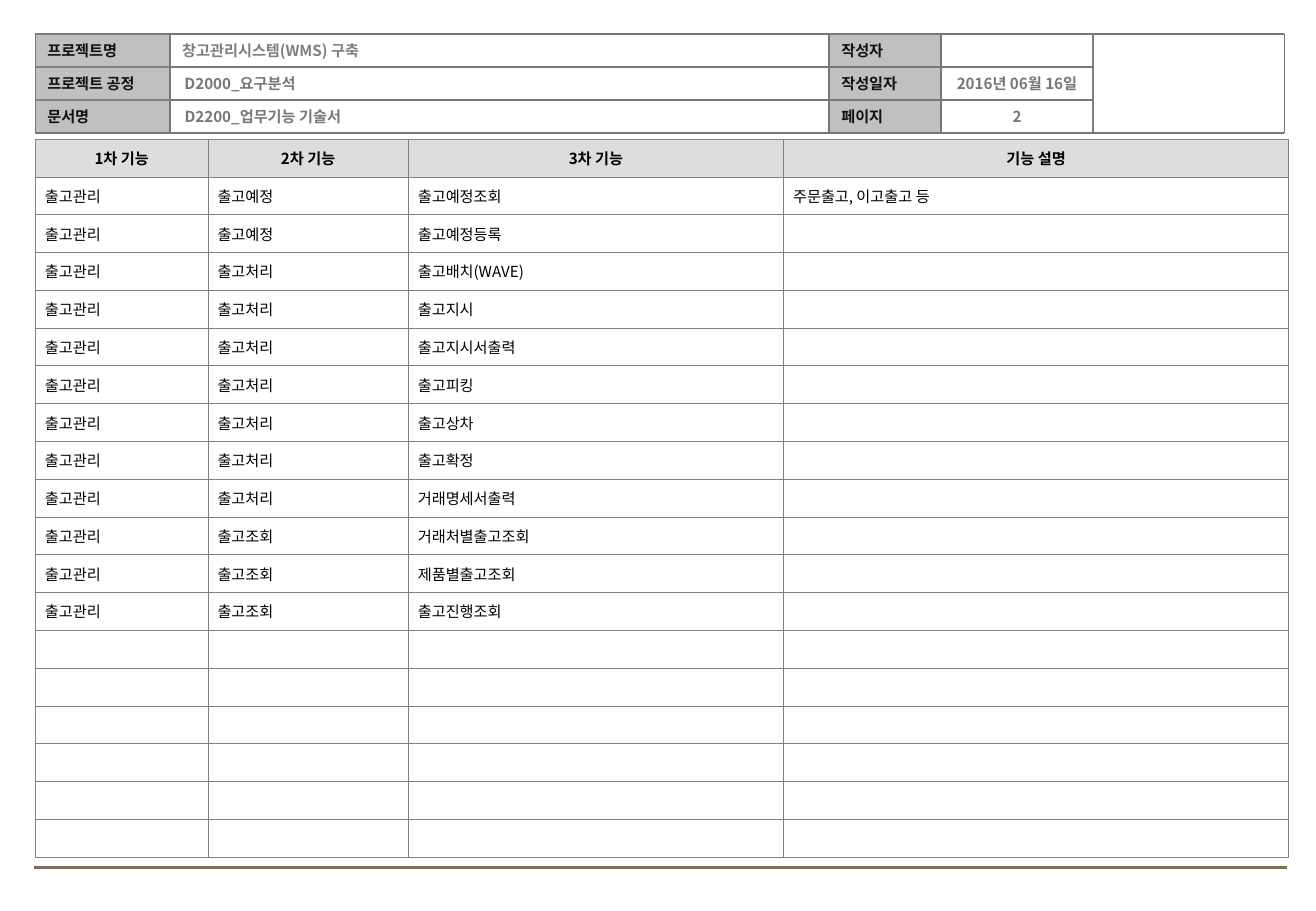
from dataclasses import dataclass
from itertools import accumulate

from lxml.etree import SubElement
from pptx import Presentation
from pptx.dml.color import RGBColor
from pptx.enum.shapes import MSO_CONNECTOR, MSO_SHAPE
from pptx.enum.text import MSO_ANCHOR, MSO_AUTO_SIZE, PP_ALIGN
from pptx.oxml.ns import qn
from pptx.util import Cm, Pt


@dataclass(frozen=True)
class Theme:
    font: str = "Noto Sans CJK KR"
    size: float = 9
    label_fill: str = "C0C0C0"
    label_text: str = "111111"
    name_text: str = "7F7F7F"
    value_text: str = "777777"
    frame: str = "777777"
    inner_frame: str = "808080"
    footer: str = "7A6F54"
    head_fill: str = "DDDDDD"
    table_text: str = "000000"
    table_border: str = "808080"
    frame_width: float = 1
    footer_width: float = 1.75
    border_width: float = 0.45


class FormPage:
    def __init__(self, page, theme):
        self.page = page
        self.theme = theme

    def style(self, para, color, bold=True, align=PP_ALIGN.LEFT):
        para.alignment = align
        font = para.font
        font.size = Pt(self.theme.size)
        font.bold = bold
        font.color.rgb = RGBColor.from_string(color)
        font.name = self.theme.font
        defaults = para._p.pPr.find(qn("a:defRPr"))
        SubElement(defaults, qn("a:ea")).set("typeface", self.theme.font)

    def set_text(self, box, text, color, align=PP_ALIGN.LEFT):
        frame = box.text_frame
        frame.text = text
        frame.word_wrap = True
        frame.auto_size = MSO_AUTO_SIZE.NONE
        frame.vertical_anchor = MSO_ANCHOR.MIDDLE
        side = Cm(0) if align == PP_ALIGN.CENTER else Cm(0.25)
        frame.margin_left = frame.margin_right = side
        frame.margin_top = frame.margin_bottom = Cm(0)
        self.style(frame.paragraphs[0], color, align=align)

    def title(self, text, left, top, width, height):
        box = self.page.shapes.title
        box.left, box.top, box.width, box.height = map(Cm, (left, top, width, height))
        self.set_text(box, text, self.theme.value_text)

    def label(self, text, left, top, width, height):
        box = self.page.shapes.add_shape(
            MSO_SHAPE.RECTANGLE, *map(Cm, (left, top, width, height)))
        box.shadow.inherit = False
        box.fill.solid()
        box.fill.fore_color.rgb = RGBColor.from_string(self.theme.label_fill)
        box.line.fill.background()
        self.set_text(box, text, self.theme.label_text)

    def value(self, text, left, top, width, height, color, align=PP_ALIGN.LEFT):
        box = self.page.shapes.add_textbox(*map(Cm, (left, top, width, height)))
        self.set_text(box, text, color, align)

    def line(self, start_x, start_y, end_x, end_y, color, width):
        line = self.page.shapes.add_connector(
            MSO_CONNECTOR.STRAIGHT, *map(Cm, (start_x, start_y, end_x, end_y)))
        line.line.color.rgb = RGBColor.from_string(color)
        line.line.width = Pt(width)
        SubElement(line._element.spPr, qn("a:effectLst"))

    def border(self, cell):
        """Draw all four sides of a table cell."""
        properties = cell._tc.get_or_add_tcPr()
        for position, side in enumerate(("a:lnL", "a:lnR", "a:lnT", "a:lnB")):
            edge = SubElement(properties, qn(side))
            edge.set("w", str(Pt(self.theme.border_width)))
            fill = SubElement(edge, qn("a:solidFill"))
            SubElement(fill, qn("a:srgbClr")).set("val", self.theme.table_border)
            properties.insert(position, edge)

    def fill_cell(self, cell, text, is_head):
        cell.text = text
        cell.vertical_anchor = MSO_ANCHOR.MIDDLE
        cell.margin_left = cell.margin_right = Cm(0.2)
        cell.margin_top = cell.margin_bottom = Cm(0.1)
        if is_head:
            cell.fill.solid()
            cell.fill.fore_color.rgb = RGBColor.from_string(self.theme.head_fill)
        else:
            cell.fill.background()
        para = cell.text_frame.paragraphs[0]
        self.style(para, self.theme.table_text, bold=is_head,
                   align=PP_ALIGN.CENTER if is_head else PP_ALIGN.LEFT)
        if not text:
            end = SubElement(para._p, qn("a:endParaRPr"))
            end.set("sz", str(int(self.theme.size * 100)))
        self.border(cell)

    def table(self, rows, left, top, widths, row_height):
        table = self.page.shapes.add_table(
            len(rows), len(widths), Cm(left), Cm(top),
            Cm(sum(widths)), Cm(row_height * len(rows))).table
        table.first_row = table.horz_banding = False
        for column, width in zip(table.columns, widths):
            column.width = Cm(width)
        for index, texts in enumerate(rows):
            table.rows[index].height = Cm(row_height)
            for column, text in enumerate(texts):
                self.fill_cell(table.cell(index, column), text, index == 0)


HEADER_TOP, HEADER_ROW = 0.71, 0.69
HEADER_X = list(accumulate((0.74, 2.82, 13.79, 2.34, 3.17, 4.01)))
HEADER_Y = [HEADER_TOP + HEADER_ROW * step for step in range(4)]
VALUE_INDENT = 0.05

HEADS = ("1차 기능", "2차 기능", "3차 기능", "기능 설명")
FIRST_LEVEL = "출고관리"
FUNCTIONS = {
    "출고예정": ("출고예정조회", "출고예정등록"),
    "출고처리": ("출고배치(WAVE)", "출고지시", "출고지시서출력", "출고피킹",
             "출고상차", "출고확정", "거래명세서출력"),
    "출고조회": ("거래처별출고조회", "제품별출고조회", "출고진행조회"),
}
DESCRIPTIONS = {"출고예정조회": "주문출고, 이고출고 등"}
EMPTY_ROWS = 6


def draw_header(form):
    theme = form.theme
    left, name, author, author_value, blank, right = HEADER_X
    top, second, third, bottom = HEADER_Y
    labels = (("프로젝트명", "작성자"), ("프로젝트 공정", "작성일자"), ("문서명", "페이지"))
    for y, (left_label, right_label) in zip(HEADER_Y, labels):
        form.label(left_label, left, y, name - left, HEADER_ROW)
        form.label(right_label, author, y, author_value - author, HEADER_ROW)

    name_width = author - name
    indented = name + VALUE_INDENT, name_width - VALUE_INDENT
    form.value("창고관리시스템(WMS) 구축", name, top, name_width, HEADER_ROW, theme.name_text)
    form.value("D2000_요구분석", indented[0], second, indented[1], HEADER_ROW, theme.value_text)
    form.title("D2200_업무기능 기술서", indented[0], third, indented[1], HEADER_ROW)
    for text, y in (("2016년 06월 16일", second), ("2", third)):
        form.value(text, author_value, y, blank - author_value, HEADER_ROW,
                   theme.value_text, PP_ALIGN.CENTER)

    for x in HEADER_X:
        color = theme.inner_frame if x == blank else theme.frame
        form.line(x, top, x, bottom, color, theme.frame_width)
    for y in (second, third):
        form.line(left, y, name, y, theme.inner_frame, theme.frame_width)
        form.line(name, y, blank, y, theme.frame, theme.frame_width)
    for y in (top, bottom):
        form.line(left, y, right, y, theme.frame, theme.frame_width)


def function_rows():
    rows = [HEADS]
    for second_level, names in FUNCTIONS.items():
        rows += [(FIRST_LEVEL, second_level, name, DESCRIPTIONS.get(name, ""))
                 for name in names]
    return rows + [("",) * len(HEADS)] * EMPTY_ROWS


def main():
    deck = Presentation()
    deck.slide_width, deck.slide_height = Cm(27.53), Cm(19.05)
    theme = Theme()
    form = FormPage(deck.slides.add_slide(deck.slide_layouts[5]), theme)
    form.line(0.71, 18.14, 26.92, 18.14, theme.footer, theme.footer_width)
    draw_header(form)
    form.table(function_rows(), 0.74, 2.91, (3.61, 4.19, 7.85, 10.57), 0.79)
    deck.save("out.pptx")


if __name__ == "__main__":
    main()
